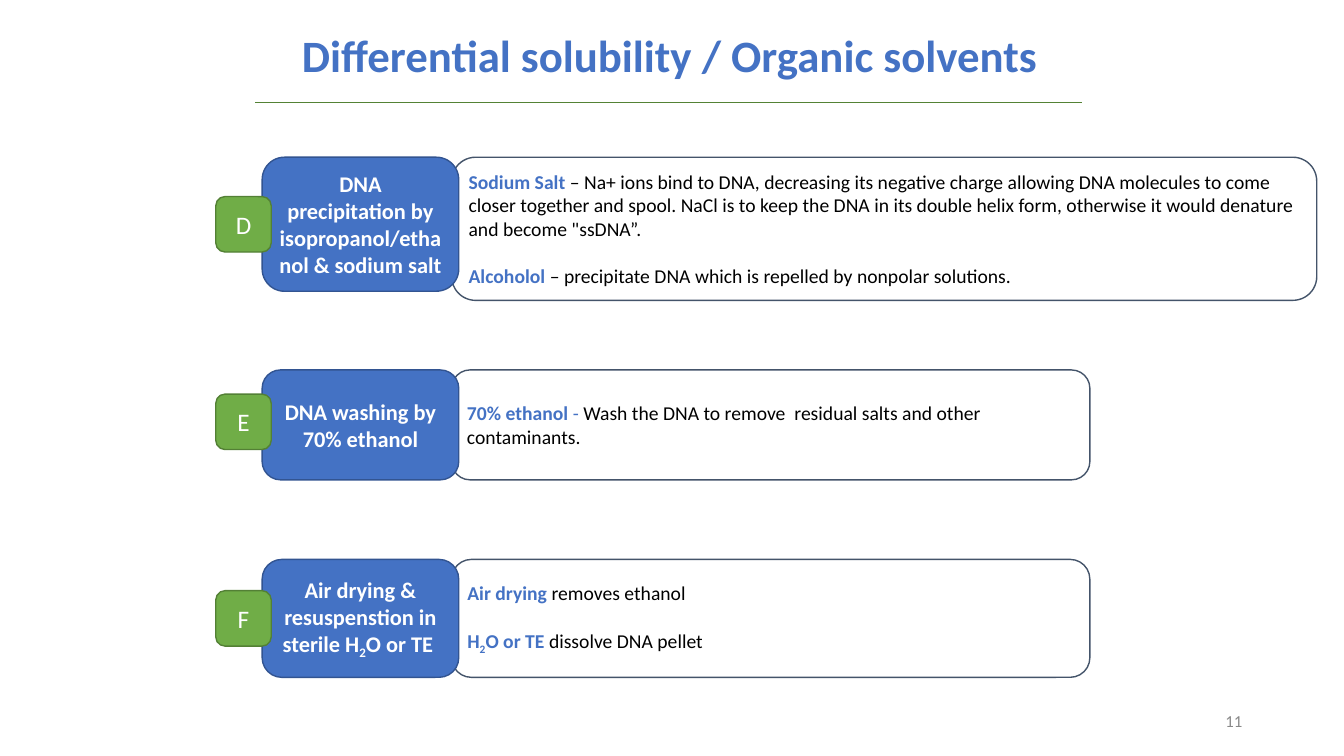
from pptx import Presentation, util as u
from pptx.dml.color import RGBColor
from pptx.enum import shapes, text
from pptx.oxml.ns import qn
from lxml import etree

PX = 9144  # EMU per px, 100 px to the inch
FONT = "Calibri"
WHITE = RGBColor(0xFF, 0xFF, 0xFF)
BLACK = RGBColor(0, 0, 0)
BLUE = RGBColor(0x44, 0x72, 0xC4)
BLUE_EDGE = RGBColor(0x32, 0x54, 0x91)
GREEN = RGBColor(0x70, 0xAD, 0x47)
GREEN_EDGE = RGBColor(0x53, 0x80, 0x35)
RULE_GREEN = RGBColor(0x54, 0x82, 0x35)
SLATE = RGBColor(0x44, 0x54, 0x6A)
GREY = RGBColor(0x89, 0x89, 0x89)

# Run styles: colour, bold, baseline in 1/1000 percent
HEAD = (WHITE, True, 0)
HEAD_SUB = (WHITE, True, -25000)
TERM = (BLUE, True, 0)
TERM_SUB = (BLUE, True, -25000)
DASH = (BLUE, False, 0)
BODY = (BLACK, False, 0)
LETTER = (WHITE, False, 0)
NUMBER = (GREY, False, 0)

# Letter, top, step height, detail width, detail height, badge top, step, details
STEPS = [
    ("D", 156, 133, 858, 142, 195,
     [("DNA precipitation by isopropanol/ethanol & sodium salt", HEAD)],
     [[("Sodium Salt ", TERM),
       ("– Na+ ions bind to DNA, decreasing its negative charge allowing DNA "
        "molecules to come closer together and spool. NaCl is to keep the DNA in "
        "its double helix form, otherwise it would denature and become "
        "\"ssDNA”.", BODY)],
      [("Alcoholol ", TERM),
       ("– precipitate DNA which is repelled by nonpolar solutions.", BODY)]]),
    ("E", 367, 109, 633, 109, 391,
     [("DNA washing by 70% ethanol", HEAD)],
     [[("70% ethanol", TERM), (" - ", DASH),
       ("Wash the DNA to remove  residual salts and other contaminants.", BODY)]]),
    ("F", 555, 117, 633, 117, 586,
     [("Air drying & resuspenstion in sterile H", HEAD), ("2", HEAD_SUB),
      ("O or TE ", HEAD)],
     [[("Air drying", TERM), (" removes ethanol", BODY)],
      [("H", TERM), ("2", TERM_SUB), ("O or TE ", TERM),
       ("dissolve DNA pellet", BODY)]]),
]


def px(*lengths):
    return [u.Emu(length * PX) for length in lengths]


def write(sp, paragraphs, size, align, anchor=text.MSO_ANCHOR.MIDDLE):
    """Fill a shape with paragraphs of (words, style) runs, one line apart."""
    tf = sp.text_frame
    tf.word_wrap = True
    tf.vertical_anchor = anchor
    for i, runs in enumerate(paragraphs):
        p = tf.add_paragraph() if i else tf.paragraphs[0]
        p.alignment = align
        if i:
            p.space_before = u.Pt(17)
        for words, (colour, bold, baseline) in runs:
            r = p.add_run()
            r.text = words
            r.font.name = FONT
            r.font.size = u.Pt(size)
            r.font.bold = bold
            r.font.color.rgb = colour
            if baseline:
                r.font._element.set("baseline", str(baseline))


def rounded_box(s, box, fill, edge):
    sp = s.shapes.add_shape(shapes.MSO_SHAPE.ROUNDED_RECTANGLE, *px(*box))
    sp.shadow.inherit = False
    sp.fill.solid()
    sp.fill.fore_color.rgb = fill
    sp.line.color.rgb = edge
    sp.line.width = u.Pt(1)
    return sp


def title(s, x, y, w, h):
    """Title with a thin rule below it."""
    tb = s.shapes.add_textbox(*px(x, y, w, h))
    write(tb, [[("Differential solubility / Organic solvents", TERM)]], 32,
          text.PP_ALIGN.CENTER, text.MSO_ANCHOR.TOP)
    rule_y = y + 79
    rule = s.shapes.add_connector(shapes.MSO_CONNECTOR.STRAIGHT,
                                  *px(x - 3, rule_y, x + w, rule_y))
    rule.line.color.rgb = RULE_GREEN
    rule.line.width = u.Pt(0.5)
    etree.SubElement(rule._element.spPr, qn("a:effectLst"))


def step_row(s, x, step):
    """Detail box, step box overlapping its left end, and letter badge."""
    letter, y, step_h, detail_w, detail_h, badge_y, heading, details = step
    center = text.PP_ALIGN.CENTER
    detail = rounded_box(s, (x + 234, y, detail_w, detail_h), WHITE, SLATE)
    write(detail, details, 14, text.PP_ALIGN.LEFT)
    step_box = rounded_box(s, (x + 46, y, 195, step_h), BLUE, BLUE_EDGE)
    write(step_box, [heading], 16, center)
    badge = rounded_box(s, (x, badge_y, 55, 55), GREEN, GREEN_EDGE)
    write(badge, [[(letter, LETTER)]], 18, center)


def page_number(s, x, y, w, h):
    tb = s.shapes.add_textbox(*px(x, y, w, h))
    write(tb, [[("11", NUMBER)]], 12, text.PP_ALIGN.RIGHT)


def main():
    prs = Presentation()
    prs.slide_width, prs.slide_height = px(1333, 750)
    s = prs.slides.add_slide(prs.slide_layouts[6])
    title(s, 256, 23, 817, 53)
    for step in STEPS:
        step_row(s, 214, step)
    page_number(s, 942, 695, 300, 40)
    prs.save("out.pptx")


if __name__ == "__main__":
    main()
